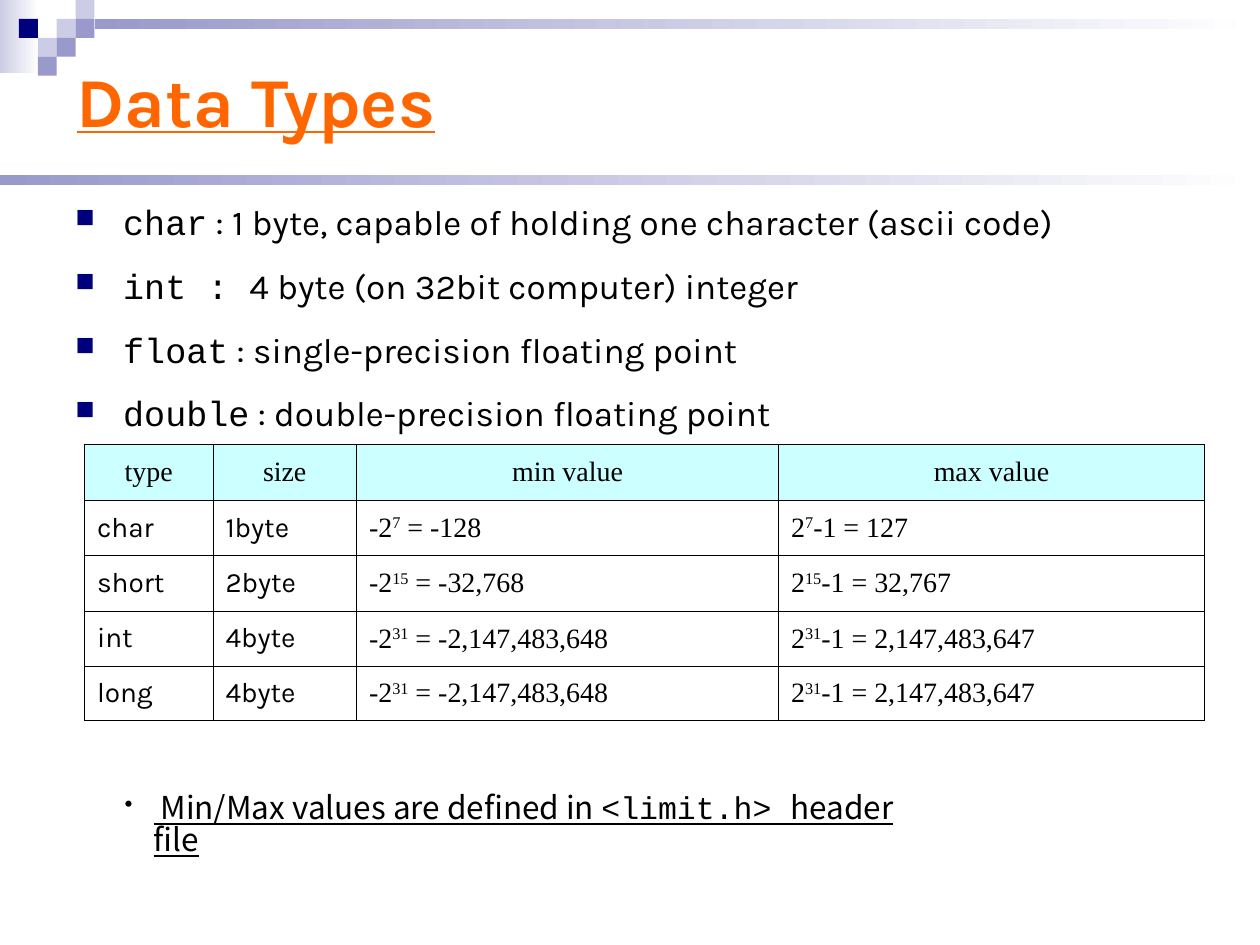
from lxml import etree
from pptx import Presentation
from pptx.dml.color import RGBColor
from pptx.enum.shapes import MSO_SHAPE
from pptx.enum.text import MSO_ANCHOR, PP_ALIGN
from pptx.oxml.ns import qn
from pptx.util import Inches, Pt

RECTANGLE = MSO_SHAPE.RECTANGLE
MIDDLE = MSO_ANCHOR.MIDDLE
CENTER, JUSTIFY = PP_ALIGN.CENTER, PP_ALIGN.JUSTIFY

SANS, MONO, SERIF, NOTE = "Karla", "Courier New", "Times New Roman", "Noto Sans CJK KR"
BLACK, WHITE, NAVY, ORANGE = "000000", "FFFFFF", "00007D", "FF6600"
LILAC, PALE_LILAC, AQUA = "9999CC", "CCCCE6", "CCFFFF"

TILE = 0.15
TILES = [(2, 1, PALE_LILAC), (3, 0, PALE_LILAC), (3, 1, LILAC), (1, 2, PALE_LILAC),
         (0, 1, NAVY), (2, 2, LILAC), (1, 3, LILAC)]
DEFINITIONS = [
    ("char", " : 1 byte, capable of holding one character (ascii code)"),
    ("int : ", "4 byte (on 32bit computer) integer"),
    ("float", " : single-precision floating point"),
    ("double", " : double-precision floating point"),
]
HEADINGS = ["type", "size", "min value", "max value"]
INTEGER_TYPES = [("char", 1), ("short", 2), ("int", 4), ("long", 4)]
COLUMN_WIDTHS = [1.02, 1.14, 3.35, 3.38]
ROW_HEIGHTS = [0.44, 0.44, 0.44, 0.44, 0.43, 0.7]


def color(value):
    """Turn a hex string into a colour."""
    return RGBColor.from_string(value)


def set_font(font, name, size, ink=BLACK):
    """Set typeface, size and colour."""
    font.name, font.size = name, Pt(size)
    font.color.rgb = color(ink)


def add_bullet(paragraph, mark, ink, margin, hanging):
    """Give a paragraph a hanging bullet at three quarters of the text size."""
    properties = paragraph._p.get_or_add_pPr()
    properties.set("marL", str(Inches(margin)))
    properties.set("indent", str(-Inches(hanging)))
    tint = etree.SubElement(properties, qn("a:buClr"))
    etree.SubElement(tint, qn("a:srgbClr"), val=ink)
    etree.SubElement(properties, qn("a:buSzPct"), val="75000")
    etree.SubElement(properties, qn("a:buChar"), char=mark)


def add_text_frame(slide, left, top, width, height):
    """Add a wrapping text box and return its frame."""
    box = slide.shapes.add_textbox(Inches(left), Inches(top), Inches(width), Inches(height))
    box.text_frame.word_wrap = True
    return box.text_frame


def add_runs(paragraph, pieces):
    """Add runs from pairs of text and typeface."""
    for text, typeface in pieces:
        run = paragraph.add_run()
        run.text, run.font.name = text, typeface


def add_block(slide, left, top, width, height, ink, fade_to=None):
    """Add a borderless rectangle, plain or fading to the right."""
    block = slide.shapes.add_shape(RECTANGLE, Inches(left), Inches(top), Inches(width), Inches(height))
    block.shadow.inherit = False
    block.line.fill.background()
    if fade_to is None:
        block.fill.solid()
        block.fill.fore_color.rgb = color(ink)
        return
    block.fill.gradient()
    block.fill.gradient_angle = 0
    for stop, shade in zip(block.fill.gradient_stops, (ink, fade_to)):
        stop.color.rgb = color(shade)


def add_decoration(slide, left, top, width):
    """Draw the corner tiles and the two fading bars."""
    add_block(slide, left, top, 0.31, 0.58, PALE_LILAC, WHITE)
    add_block(slide, left + 0.75, top + TILE, width - 0.75, 0.08, LILAC, WHITE)
    for column, row, ink in TILES:
        add_block(slide, left + TILE * (column + 1), top + TILE * row, TILE, TILE, ink)
    add_block(slide, left, top + 1.39, width, 0.08, LILAC, WHITE)


def add_title(slide, left, top, width, height):
    """Add the underlined heading."""
    frame = add_text_frame(slide, left, top, width, height)
    frame.vertical_anchor = MIDDLE
    title = frame.paragraphs[0]
    title.text = "Data Types"
    set_font(title.font, SANS, 40, ORANGE)
    title.font.bold = title.font.underline = True


def add_definitions(slide, left, top, width, height):
    """Add the bulleted list of data types."""
    frame = add_text_frame(slide, left, top, width, height)
    for index, (keyword, meaning) in enumerate(DEFINITIONS):
        definition = frame.add_paragraph() if index else frame.paragraphs[0]
        if index:
            definition.space_before = Pt(12.5)
        add_bullet(definition, "■", NAVY, 0.38, 0.38)
        definition.font.size = Pt(20)
        definition.font.color.rgb = color(BLACK)
        add_runs(definition, [(keyword, MONO), (meaning, SANS)])


def set_borders(cell, sides, ink=None):
    """Draw thin lines on the given sides of a cell, or clear them."""
    properties = cell._tc.get_or_add_tcPr()
    for position, side in enumerate(sides):
        line = etree.Element(qn(f"a:ln{side}"), w=str(Pt(0.45)))
        if ink:
            fill = etree.SubElement(line, qn("a:solidFill"))
            etree.SubElement(fill, qn("a:srgbClr"), val=ink)
        else:
            etree.SubElement(line, qn("a:noFill"))
        properties.insert(position, line)


def fill_cell(cell, pieces, typeface, align):
    """Write a cell; the second of several pieces is raised."""
    cell.vertical_anchor = MIDDLE
    entry = cell.text_frame.paragraphs[0]
    entry.alignment = align
    set_font(entry.font, typeface, 16)
    for index, piece in enumerate(pieces):
        run = entry.add_run()
        run.text = piece
        if index == 1:
            run._r.get_or_add_rPr().set("baseline", "30000")
    set_borders(cell, "LRTB", BLACK)


def add_range_table(slide, left, top, width, height):
    """Add the table of integer sizes and limits, with an open last row."""
    table = slide.shapes.add_table(len(ROW_HEIGHTS), len(COLUMN_WIDTHS), Inches(left), Inches(top),
                                   Inches(width), Inches(height)).table
    table.first_row = table.horz_banding = False
    for column, column_width in zip(table.columns, COLUMN_WIDTHS):
        column.width = Inches(column_width)
    for row, row_height in zip(table.rows, ROW_HEIGHTS):
        row.height = Inches(row_height)
    for cell in table.iter_cells():
        cell.fill.background()
    for column, heading in enumerate(HEADINGS):
        cell = table.cell(0, column)
        cell.fill.solid()
        cell.fill.fore_color.rgb = color(AQUA)
        fill_cell(cell, [heading], SERIF, CENTER)
    for row, (name, size) in enumerate(INTEGER_TYPES, 1):
        power = 8 * size - 1
        limit = 2 ** power
        entries = [([name], SANS), ([f"{size}byte"], SANS),
                   (["-2", str(power), f" = {-limit:,}"], SERIF),
                   (["2", str(power), f"-1 = {limit - 1:,}"], SERIF)]
        for column, (pieces, typeface) in enumerate(entries):
            fill_cell(table.cell(row, column), pieces, typeface, JUSTIFY)
    last = len(ROW_HEIGHTS) - 1
    for cell in table.rows[last].cells:
        set_borders(cell, "LRB")
        set_borders(cell, "LRT"[2:], BLACK)
        properties = cell._tc.tcPr
        properties.insert(2, properties[0])
    table.cell(last, 0).merge(table.cell(last, len(COLUMN_WIDTHS) - 1))


def add_header_note(slide, left, top, width, height):
    """Add the underlined remark on where the limits are defined."""
    note = add_text_frame(slide, left, top, width, height).paragraphs[0]
    note.line_spacing = 0.85
    add_bullet(note, "•", BLACK, 0.23, 0.23)
    note.font.size = Pt(18)
    note.font.color.rgb = color(BLACK)
    note.font.underline = True
    add_runs(note, [(" Min/Max values are defined in ", NOTE), ("<limit.h> ", MONO), ("header file", NOTE)])


def main():
    """Build the slide and save it."""
    deck = Presentation()
    deck.slide_width, deck.slide_height = Inches(10), Inches(7.5)
    slide = deck.slides.add_slide(deck.slide_layouts[6])
    add_decoration(slide, 0, 0, 10)
    add_title(slide, 0.51, 0.28, 9, 1.02)
    add_definitions(slide, 0.5, 1.54, 9, 5.28)
    add_range_table(slide, 0.67, 3.53, sum(COLUMN_WIDTHS), sum(ROW_HEIGHTS))
    add_header_note(slide, 0.89, 6.25, 6.69, 0.4)
    deck.save("out.pptx")


if __name__ == "__main__":
    main()
